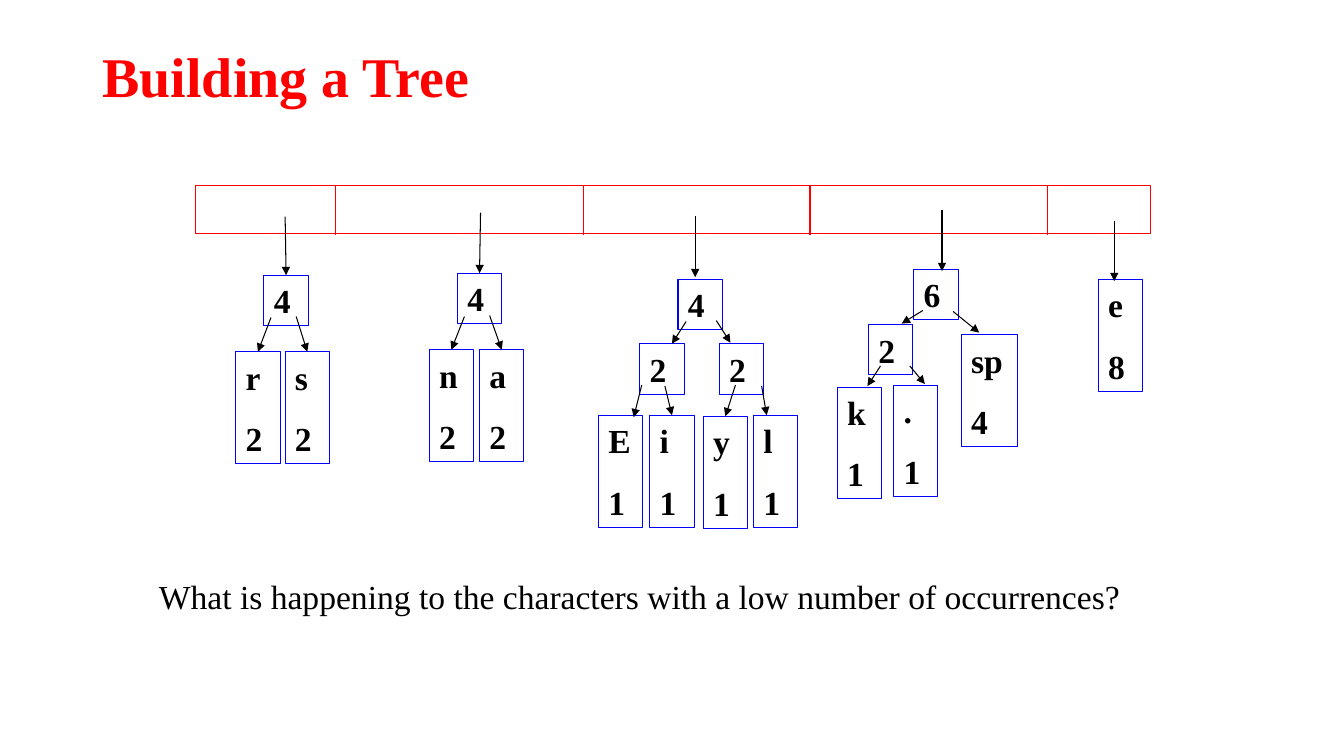
from dataclasses import dataclass

from lxml import etree
from pptx import Presentation
from pptx.dml.color import RGBColor
from pptx.enum.shapes import MSO_CONNECTOR, MSO_SHAPE
from pptx.enum.text import MSO_ANCHOR, PP_ALIGN
from pptx.oxml.ns import qn
from pptx.util import Pt

STRAIGHT = MSO_CONNECTOR.STRAIGHT
RECTANGLE = MSO_SHAPE.RECTANGLE
TOP, MIDDLE = MSO_ANCHOR.TOP, MSO_ANCHOR.MIDDLE
LEFT = PP_ALIGN.LEFT

TITLE = "Building a Tree"
QUESTION = "What is happening to the characters with a low number of occurrences?"
QUEUE = (194, 184, 948, 48)
DIVIDERS = [333, 579, 804, 1040]

# label lines, box left and top, incoming arrow from and to
NODES = [
    (["4"], (262, 273), (283, 215), (283, 276)),
    (["r", "2"], (234, 349), (269, 315), (256, 350)),
    (["s", "2"], (283, 349), (294, 314), (306, 349)),
    (["4"], (454, 271), (477, 211), (477, 271)),
    (["n", "2"], (426, 347), (461, 314), (448, 349)),
    (["a", "2"], (476, 347), (486, 313), (499, 348)),
    (["4"], (673, 277), (690, 214), (690, 275)),
    (["2"], (635, 341), (681, 319), (667, 341)),
    (["2"], (714, 341), (711, 318), (725, 340)),
    (["E", "1"], (594, 412), (637, 382), (629, 414)),
    (["i", "1"], (645, 412), (660, 383), (667, 412)),
    (["y", "1"], (698, 413), (730, 382), (719, 413)),
    (["l", "1"], (748, 412), (756, 383), (761, 412)),
    (["6"], (907, 267), (935, 208), (935, 269)),
    (["2"], (862, 322), (916, 308), (895, 321)),
    (["sp", "4"], (954, 332), (946, 309), (972, 330)),
    (["k", "1"], (831, 384), (874, 363), (861, 383)),
    ([".", "1"], (887, 382), (903, 363), (918, 381)),
    (["e", "8"], (1090, 277), (1106, 219), (1106, 279)),
]


@dataclass(frozen=True)
class Theme:
    font: str = "Times New Roman"
    title_size: int = 40
    text_size: int = 24
    label_gap: int = 15
    line_width: float = 0.75
    red: RGBColor = RGBColor(255, 0, 0)
    blue: RGBColor = RGBColor(0, 0, 255)
    black: RGBColor = RGBColor(0, 0, 0)
    white: RGBColor = RGBColor(255, 255, 255)


THEME = Theme()
EMU_PER_PX = 9144
SNAP = 3


def px(*lengths):
    return [length * EMU_PER_PX for length in lengths]


def write(box, lines, size, color, bold, anchor=TOP):
    frame = box.text_frame
    frame.word_wrap = True
    frame.vertical_anchor = anchor
    frame.margin_left, frame.margin_right = px(10, 10)
    frame.margin_top, frame.margin_bottom = px(5, 5)
    frame.text = "\n".join(lines)
    for index, para in enumerate(frame.paragraphs):
        para.alignment = LEFT
        if index:
            para.space_before = Pt(THEME.label_gap)
        para.font.name = THEME.font
        para.font.size = Pt(size)
        para.font.bold = bold
        para.font.color.rgb = color


def add_box(page, bounds, line_color, fill=None):
    box = page.shapes.add_shape(RECTANGLE, *px(*bounds))
    box.shadow.inherit = False
    if fill is None:
        box.fill.background()
    else:
        box.fill.solid()
        box.fill.fore_color.rgb = fill
    box.line.color.rgb = line_color
    box.line.width = Pt(THEME.line_width)
    return box


def add_line(page, start, end, color, arrow=False):
    line = page.shapes.add_connector(STRAIGHT, *px(*start, *end))
    line.line.color.rgb = color
    line.line.width = Pt(THEME.line_width)
    if arrow:
        etree.SubElement(line.line._get_or_add_ln(), qn("a:tailEnd"), type="triangle")
    etree.SubElement(line._element.spPr, qn("a:effectLst"))
    return line


def add_node(page, lines, corner, start, end):
    left, top = corner
    width = 56 if len(lines[0]) > 1 else 44
    height = 111 if len(lines) > 1 else 50
    box = add_box(page, (left, top, width, height), THEME.blue)
    write(box, lines, THEME.text_size, THEME.black, True)
    arrow = add_line(page, start, end, THEME.black, arrow=True)
    if abs(end[0] - left - width / 2) <= SNAP and abs(end[1] - top) <= SNAP:
        arrow.end_connect(box, 0)


def main():
    deck = Presentation()
    deck.slide_width, deck.slide_height = px(1334, 750)
    page = deck.slides.add_slide(deck.slide_layouts[6])

    title = page.shapes.add_textbox(*px(92, 40, 1150, 77))
    write(title, [TITLE], THEME.title_size, THEME.red, True, MIDDLE)
    title.text_frame.paragraphs[0].line_spacing = 0.9

    add_box(page, QUEUE, THEME.red, THEME.white)
    for across in DIVIDERS:
        top = QUEUE[1] + 1
        add_line(page, (across, top), (across, top + QUEUE[3]), THEME.red)
    for node in NODES:
        add_node(page, *node)

    question = page.shapes.add_textbox(*px(148, 566, 994, 50))
    write(question, [QUESTION], THEME.text_size, THEME.black, False)
    deck.save("out.pptx")


if __name__ == "__main__":
    main()
